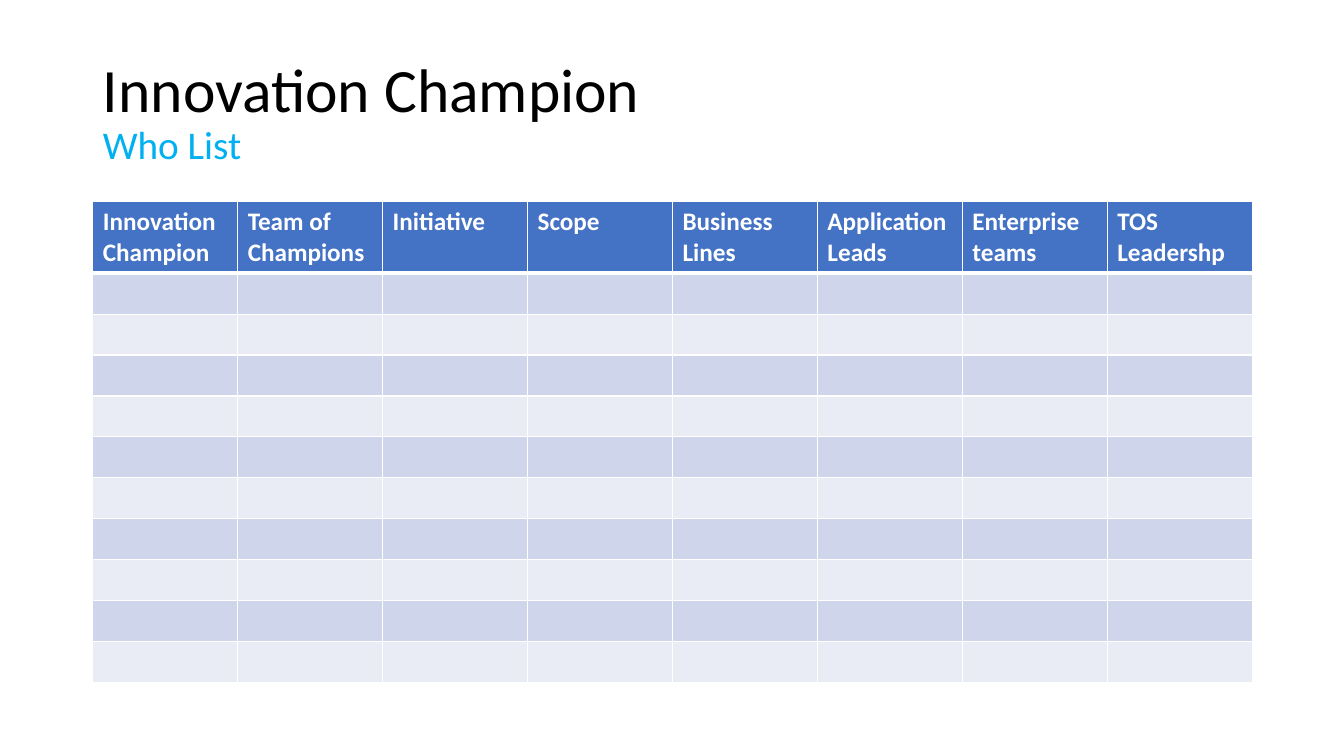
from dataclasses import dataclass

from lxml.etree import SubElement
from pptx import Presentation
from pptx.dml.color import RGBColor
from pptx.enum.text import MSO_ANCHOR, MSO_AUTO_SIZE, PP_ALIGN
from pptx.oxml.ns import qn
from pptx.slide import Slide
from pptx.table import _Cell
from pptx.text.text import _Paragraph
from pptx.util import Inches, Pt

BLACK = RGBColor(0x00, 0x00, 0x00)
WHITE = RGBColor(0xFF, 0xFF, 0xFF)
SKY_BLUE = RGBColor(0x00, 0xB0, 0xF0)
HEADER_BLUE = RGBColor(0x44, 0x72, 0xC4)
BAND_DARK = RGBColor(0xCF, 0xD5, 0xEA)
BAND_LIGHT = RGBColor(0xE9, 0xEB, 0xF5)
FONT_NAME = "Calibri"

LEFT, WIDTH = 0.92, 11.5
TABLE_TOP = 2.0
HEADER_HEIGHT, ROW_HEIGHT = 0.7, 0.406
BLANK_ROWS = 10
HEADINGS = (
    "Innovation Champion",
    "Team of Champions",
    "Initiative",
    "Scope",
    "Business Lines",
    "Application Leads",
    "Enterprise teams",
    "TOS Leadershp",
)


@dataclass(frozen=True)
class TextStyle:
    size: int
    color: RGBColor
    bold: bool = False


@dataclass(frozen=True)
class RowStyle:
    fill: RGBColor
    top_border: float = 1
    bottom_border: float = 1


TITLE_TEXT = TextStyle(44, BLACK)
SUBTITLE_TEXT = TextStyle(28, SKY_BLUE)
HEADING_TEXT = TextStyle(18, WHITE, bold=True)
HEADER_ROW = RowStyle(HEADER_BLUE, bottom_border=3)
FIRST_ROW = RowStyle(BAND_DARK, top_border=3)
DARK_ROW = RowStyle(BAND_DARK)
LIGHT_ROW = RowStyle(BAND_LIGHT)


def add_run(paragraph: _Paragraph, text: str, style: TextStyle) -> None:
    run = paragraph.add_run()
    run.text = text
    run.font.name = FONT_NAME
    run.font.size = Pt(style.size)
    run.font.bold = style.bold
    run.font.color.rgb = style.color


def format_cell(cell: _Cell, style: RowStyle) -> None:
    """Give the cell white borders, then its fill, as the schema orders them."""
    properties = cell._tc.get_or_add_tcPr()
    borders = {"lnL": 1, "lnR": 1, "lnT": style.top_border, "lnB": style.bottom_border}
    for tag, width in borders.items():
        line = SubElement(properties, qn(f"a:{tag}"), w=str(Pt(width)))
        solid_fill = SubElement(line, qn("a:solidFill"))
        SubElement(solid_fill, qn("a:srgbClr"), val=str(WHITE))
    cell.fill.solid()
    cell.fill.fore_color.rgb = style.fill


def add_title(slide: Slide) -> None:
    title = slide.shapes.title
    title.left, title.top = Inches(LEFT), Inches(0.4)
    title.width, title.height = Inches(WIDTH), Inches(1.45)
    frame = title.text_frame
    frame.word_wrap = True
    frame.auto_size = MSO_AUTO_SIZE.NONE
    frame.vertical_anchor = MSO_ANCHOR.MIDDLE
    paragraph = frame.paragraphs[0]
    paragraph.alignment = PP_ALIGN.LEFT
    paragraph.line_spacing = 0.9
    add_run(paragraph, "Innovation Champion ", TITLE_TEXT)
    paragraph.add_line_break()
    add_run(paragraph, "Who List", SUBTITLE_TEXT)


def add_who_list(slide: Slide) -> None:
    table = slide.shapes.add_table(
        BLANK_ROWS + 1,
        len(HEADINGS),
        Inches(LEFT),
        Inches(TABLE_TOP),
        Inches(WIDTH),
        Inches(HEADER_HEIGHT + BLANK_ROWS * ROW_HEIGHT),
    ).table
    for column in table.columns:
        column.width = Inches(WIDTH / len(HEADINGS))
    row_styles = [HEADER_ROW, FIRST_ROW] + [LIGHT_ROW, DARK_ROW] * (BLANK_ROWS // 2)
    for row, style in zip(table.rows, row_styles):
        row.height = Inches(HEADER_HEIGHT if style is HEADER_ROW else ROW_HEIGHT)
        for cell in row.cells:
            format_cell(cell, style)
    for cell, heading in zip(table.rows[0].cells, HEADINGS):
        add_run(cell.text_frame.paragraphs[0], heading, HEADING_TEXT)


def main() -> None:
    presentation = Presentation()
    presentation.slide_width = Inches(13.33)
    presentation.slide_height = Inches(7.5)
    title_only_layout = presentation.slide_layouts[5]
    slide = presentation.slides.add_slide(title_only_layout)
    add_title(slide)
    add_who_list(slide)
    presentation.save("out.pptx")


if __name__ == "__main__":
    main()
